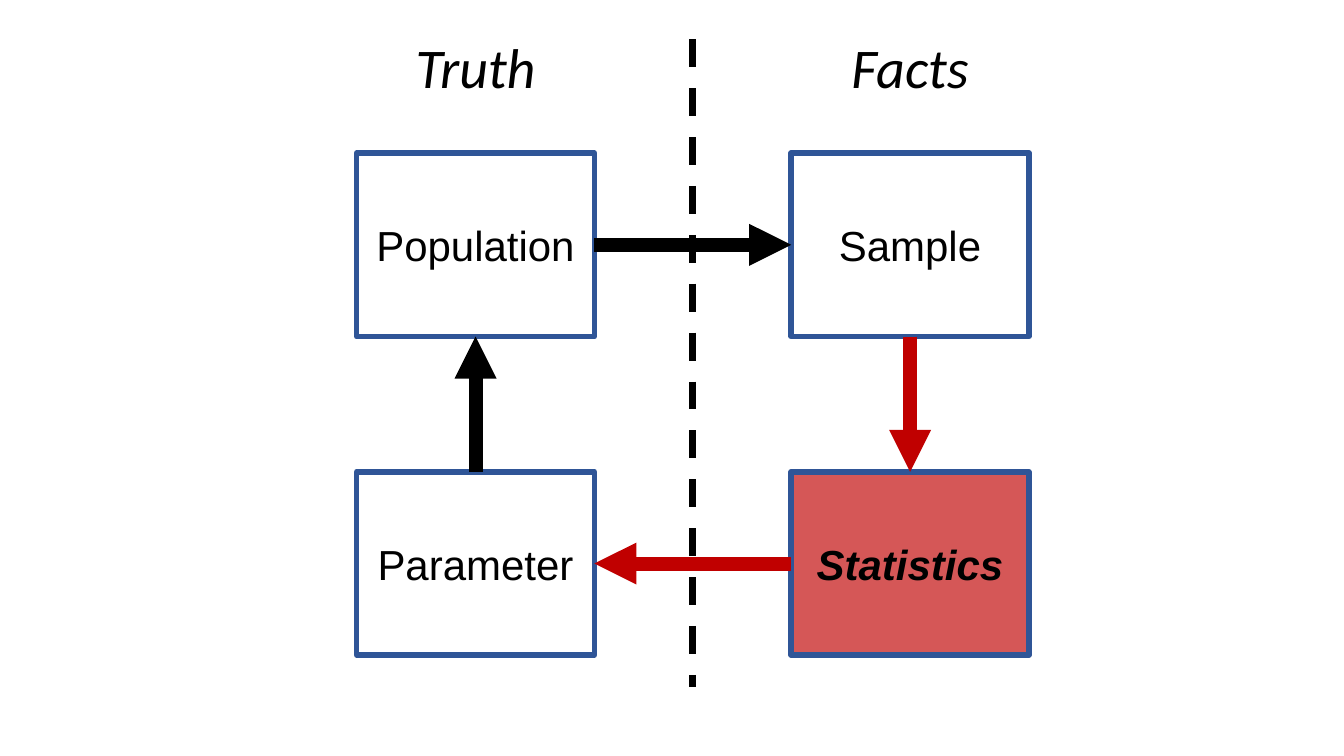
from lxml.etree import SubElement
from pptx import Presentation
from pptx.dml.color import RGBColor
from pptx.enum.dml import MSO_LINE
from pptx.enum.shapes import MSO_CONNECTOR as CONN, MSO_SHAPE as SHAPE
from pptx.enum.text import MSO_ANCHOR as ANCHOR, MSO_AUTO_SIZE as AUTO, PP_ALIGN as ALIGN
from pptx.oxml.ns import qn
from pptx.util import Cm, Pt

BLACK, RED, BLUE = "000000", "C00000", "2F5597"
TRUTH_X, FACTS_X = 8.99, 19.94
TOP_Y, BOTTOM_Y = 3.86, 11.89
BOX_W, BOX_H = 5.99, 4.62
HEADING_W, HEADING_H = 3.56, 1.95
TOP, LEFT, BOTTOM, RIGHT = range(4)


def set_color(fmt, color):
    """Make a fill (of a shape, line or font) solid in a hex colour."""
    fmt.solid()
    fmt.fore_color.rgb = RGBColor.from_string(color)


def add_run(p, text, size, font, bold=False, italic=False):
    r = p.add_run()
    r.text = text
    r.font.name, r.font.size = font, Pt(size)
    r.font.bold, r.font.italic = bold, italic
    set_color(r.font.fill, BLACK)


def add_box(s, text, x, y, fill=None, alpha=100, emphasis=False):
    sp = s.shapes.add_shape(SHAPE.RECTANGLE, Cm(x), Cm(y), Cm(BOX_W), Cm(BOX_H))
    sp.shadow.inherit = False
    if fill:
        set_color(sp.fill, fill)
        clr = sp.fill._xPr.find(qn("a:solidFill"))[0]
        SubElement(clr, qn("a:alpha")).set("val", str(alpha * 1000))
    else:
        sp.fill.background()
    set_color(sp.line.fill, BLUE)
    sp.line.width = Pt(4)
    tf = sp.text_frame
    tf.word_wrap = True
    tf.vertical_anchor = ANCHOR.MIDDLE
    p = tf.paragraphs[0]
    p.alignment = ALIGN.CENTER
    add_run(p, text, 30, "Arial", bold=emphasis, italic=emphasis)
    return sp


def add_line(s, x1, y1, x2, y2, color, width):
    line = s.shapes.add_connector(CONN.STRAIGHT, Cm(x1), Cm(y1), Cm(x2), Cm(y2))
    set_color(line.line.fill, color)
    line.line.width = Pt(width)
    SubElement(line._element.spPr, qn("a:effectLst"))
    return line


def add_arrow(s, start, start_side, end, end_side, color):
    arrow = add_line(s, 0, 0, 0, 0, color, 10)
    arrow.begin_connect(start, start_side)
    arrow.end_connect(end, end_side)
    SubElement(arrow.line._get_or_add_ln(), qn("a:tailEnd")).set("type", "triangle")


def add_heading(s, text, column_x):
    x = column_x + (BOX_W - HEADING_W) / 2
    tb = s.shapes.add_textbox(Cm(x), Cm(0.69), Cm(HEADING_W), Cm(HEADING_H))
    tf = tb.text_frame
    tf.word_wrap = False
    tf.auto_size = AUTO.SHAPE_TO_FIT_TEXT
    p = tf.paragraphs[0]
    p.alignment = ALIGN.CENTER
    add_run(p, text, 40, "Calibri", italic=True)


def main():
    prs = Presentation()
    prs.slide_width, prs.slide_height = Cm(33.87), Cm(19.05)
    s = prs.slides.add_slide(prs.slide_layouts[6])

    population = add_box(s, "Population", TRUTH_X, TOP_Y)
    sample = add_box(s, "Sample", FACTS_X, TOP_Y)
    parameter = add_box(s, "Parameter", TRUTH_X, BOTTOM_Y)
    statistics = add_box(s, "Statistics", FACTS_X, BOTTOM_Y, RED, 66, emphasis=True)

    add_arrow(s, population, RIGHT, sample, LEFT, BLACK)
    add_arrow(s, sample, BOTTOM, statistics, TOP, RED)
    add_arrow(s, statistics, LEFT, parameter, RIGHT, RED)
    add_arrow(s, parameter, TOP, population, BOTTOM, BLACK)

    middle_x = (TRUTH_X + FACTS_X + BOX_W) / 2
    divider = add_line(s, middle_x, 0.99, middle_x, 17.3, BLACK, 5)
    divider.line.dash_style = MSO_LINE.DASH

    add_heading(s, "Truth", TRUTH_X)
    add_heading(s, "Facts", FACTS_X)
    prs.save("out.pptx")


if __name__ == "__main__":
    main()
